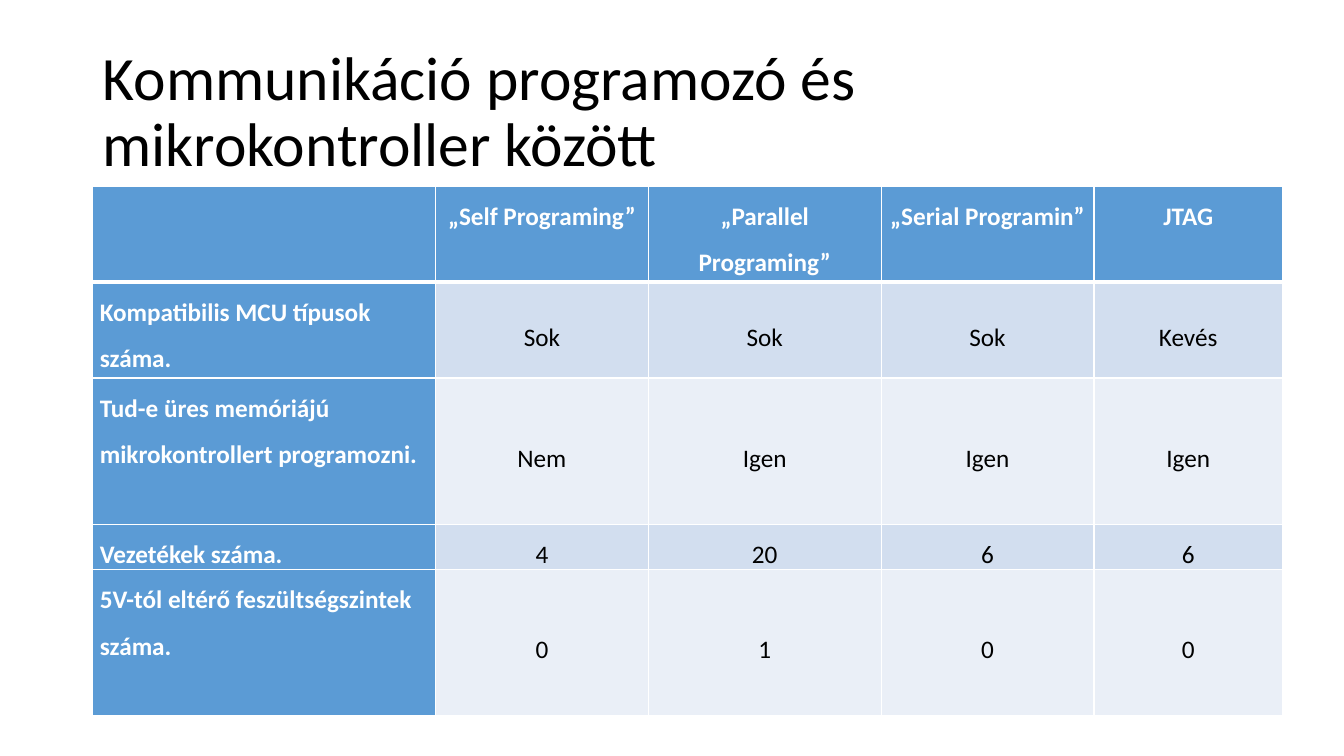
from dataclasses import dataclass

from lxml import etree
from pptx import Presentation
from pptx.dml.color import RGBColor
from pptx.enum import text
from pptx.oxml import ns
from pptx.util import Inches, Pt


@dataclass(frozen=True)
class Theme:
    """Colours and type sizes of the slide."""
    font: str = "Calibri"
    title_size: int = 44
    cell_size: int = 18
    ink: str = "000000"
    paper: str = "FFFFFF"
    accent: str = "5B9BD5"
    bands: tuple = ("D2DEEF", "EAEFF7")
    thin: int = 1
    thick: int = 3


THEME = Theme()
TITLE = "Kommunikáció programozó és mikrokontroller között"
COLUMN_WIDTHS = (3.4, 2.11, 2.31, 2.11, 1.87)
ROW_HEIGHTS = (0.95, 0.95, 1.45, 0.45, 1.45)
COMPARISON = (
    ("", "„Self Programing”", "„Parallel Programing”", "„Serial Programin”", "JTAG"),
    ("Kompatibilis MCU típusok száma.", "Sok", "Sok", "Sok", "Kevés"),
    ("Tud-e üres memóriájú mikrokontrollert programozni.", "Nem", "Igen", "Igen", "Igen"),
    ("Vezetékek száma.", "4", "20", "6", "6"),
    ("5V-tól eltérő feszültségszintek száma.", "0", "1", "0", "0"),
)


def style_font(para, size, colour, bold=False):
    """Set the font of a whole paragraph."""
    para.font.name = THEME.font
    para.font.size = Pt(size)
    para.font.bold = bold
    para.font.color.rgb = RGBColor.from_string(colour)


def add_title(page, left, top, width, height):
    """Place the slide title in its box."""
    box = page.shapes.add_textbox(Inches(left), Inches(top), Inches(width), Inches(height))
    frame = box.text_frame
    frame.word_wrap = True
    frame.vertical_anchor = text.MSO_ANCHOR.MIDDLE
    para = frame.paragraphs[0]
    para.text = TITLE
    para.line_spacing = 0.9
    style_font(para, THEME.title_size, THEME.ink)


def set_borders(cell, top, bottom):
    """Draw the four cell borders, with the given top and bottom weights."""
    properties = cell._tc.get_or_add_tcPr()
    weights = {"L": THEME.thin, "R": THEME.thin, "T": top, "B": bottom}
    for side, weight in weights.items():
        line = etree.SubElement(properties, ns.qn(f"a:ln{side}"), w=str(Pt(weight)))
        fill = etree.SubElement(line, ns.qn("a:solidFill"))
        etree.SubElement(fill, ns.qn("a:srgbClr"), val=THEME.paper)


def fill_cell(cell, wording, row, column):
    """Write and style one cell according to its row and column."""
    heading = row == 0 or column == 0
    set_borders(cell, THEME.thick if row == 1 else THEME.thin,
                THEME.thick if row == 0 else THEME.thin)
    cell.fill.solid()
    colour = THEME.accent if heading else THEME.bands[(row - 1) % 2]
    cell.fill.fore_color.rgb = RGBColor.from_string(colour)
    cell.margin_left = cell.margin_right = Inches(0.07)
    cell.margin_top = cell.margin_bottom = 0
    cell.vertical_anchor = text.MSO_ANCHOR.TOP if heading else text.MSO_ANCHOR.MIDDLE
    para = cell.text_frame.paragraphs[0]
    para.text = wording
    para.alignment = text.PP_ALIGN.CENTER if column else text.PP_ALIGN.LEFT
    para.line_spacing = 1.5
    para.space_before = para.space_after = Pt(6)
    style_font(para, THEME.cell_size, THEME.paper if heading else THEME.ink, heading)


def add_comparison(page, left, top):
    """Place the table that compares the programming methods."""
    table = page.shapes.add_table(
        len(ROW_HEIGHTS), len(COLUMN_WIDTHS), Inches(left), Inches(top),
        Inches(sum(COLUMN_WIDTHS)), Inches(sum(ROW_HEIGHTS))).table
    table.first_col = True
    for column, width in zip(table.columns, COLUMN_WIDTHS):
        column.width = Inches(width)
    for row, height in zip(table.rows, ROW_HEIGHTS):
        row.height = Inches(height)
    for row, wordings in enumerate(COMPARISON):
        for column, wording in enumerate(wordings):
            fill_cell(table.cell(row, column), wording, row, column)


def main():
    """Build the deck and save it."""
    deck = Presentation()
    deck.slide_width, deck.slide_height = Inches(13.33), Inches(7.5)
    page = deck.slides.add_slide(deck.slide_layouts[6])
    add_title(page, 0.92, 0.4, 11.5, 1.45)
    add_comparison(page, 0.92, 1.85)
    deck.save("out.pptx")


if __name__ == "__main__":
    main()
